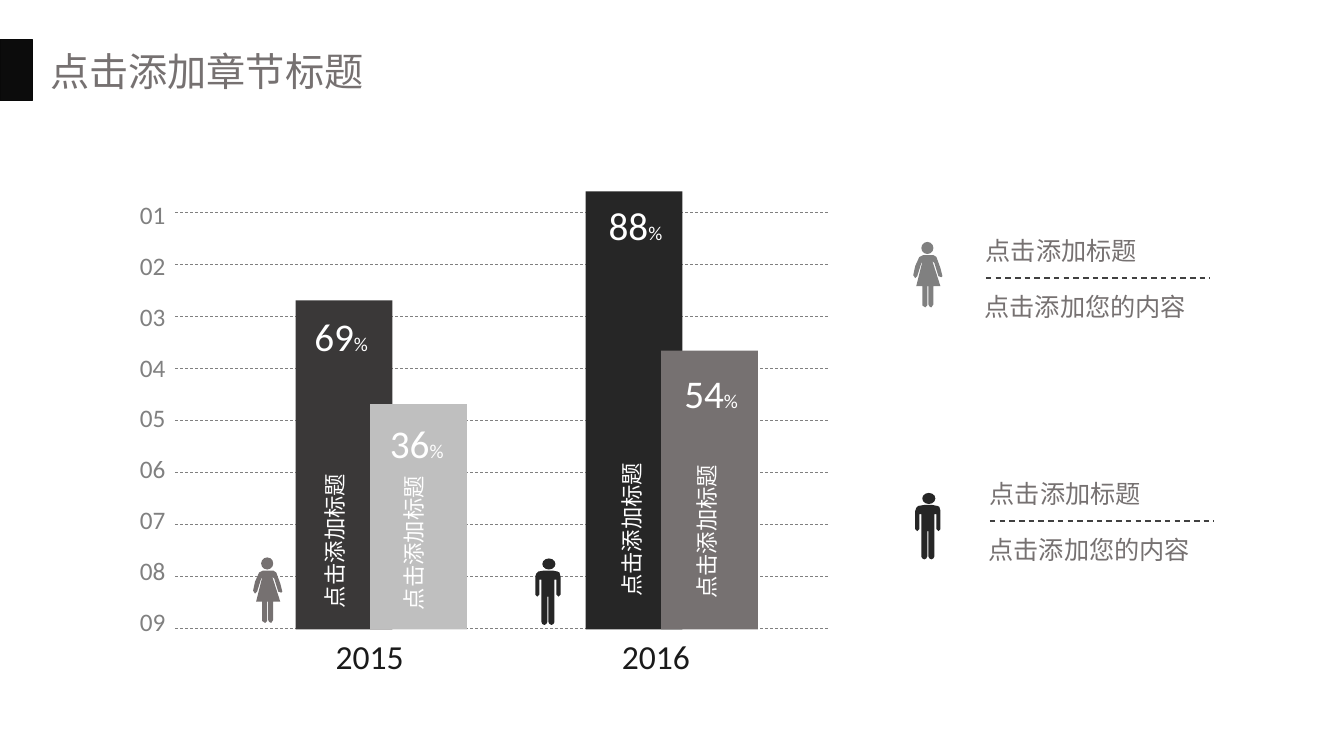
from dataclasses import dataclass

from pptx import Presentation
from pptx.dml.color import RGBColor
from pptx.enum.dml import MSO_LINE
from pptx.enum.shapes import MSO_CONNECTOR as Connector, MSO_SHAPE as Preset
from pptx.enum.text import MSO_AUTO_SIZE as AutoSize, PP_ALIGN as Align
from pptx.oxml.ns import qn
from pptx.shapes.base import BaseShape
from pptx.text.text import _Paragraph as Paragraph
from pptx.util import Inches, Pt
from lxml.etree import SubElement

# Lengths are in columns and rows: one hundredth of the slide's width and height.
WIDTH, HEIGHT = Inches(40 / 3), Inches(7.5)
CJK, LATIN = "Noto Sans CJK SC", "Calibri"
GRAY, TAUPE, INK, WHITE = "808080", "767171", "262626", "FFFFFF"
BASELINE, BAR_WIDTH = 83.27, 7.2
HUNDREDTH = Inches(0.01)


@dataclass
class Bar:
    left: float
    top: float
    fill: str
    percent: str
    percent_at: tuple[float, float]
    caption_at: tuple[float, float]


@dataclass
class Silhouette:
    """Head box and body outline, in hundredths of an inch."""
    head: tuple[int, int, int, int]
    body: list[tuple[int, int]]


@dataclass
class Figure:
    silhouette: Silhouette
    left: float
    top: float
    fill: str


BARS = [
    Bar(22, 39.73, "3A3838", "69", (22.65, 40.67), (18.9, 68.53)),
    Bar(27.55, 53.47, "BFBFBF", "36", (28.28, 54.8), (24.75, 68.8)),
    Bar(43.58, 25.33, INK, "88", (44.55, 26), (40.95, 67.07)),
    Bar(49.2, 46.4, TAUPE, "54", (50.18, 48.13), (46.58, 67.33)),
]
MAN = Silhouette((7, 0, 13, 11), [
    (9, 12), (3, 13), (1, 15), (0, 18), (0, 36), (2, 38), (4, 36), (4, 21), (6, 21),
    (6, 63), (7, 65), (9, 66), (11, 65), (12, 63), (12, 38), (13, 38), (13, 63),
    (14, 65), (16, 66), (18, 65), (19, 63), (19, 21), (21, 21), (21, 36), (23, 38),
    (25, 36), (25, 18), (24, 14), (22, 13), (17, 12)])
WOMAN = Silhouette((8, 0, 12, 12), [
    (6, 15), (10, 13), (20, 13), (23, 15), (27, 26), (29, 34), (28, 35), (25, 34),
    (21, 21), (19, 19), (27, 44), (20, 44), (20, 62), (18, 65), (16, 64), (15, 62),
    (15, 44), (14, 44), (14, 63), (12, 65), (9, 63), (9, 44), (3, 44), (9, 20),
    (8, 21), (4, 34), (2, 36), (0, 33), (2, 24)])
FIGURES = [
    Figure(MAN, 39.83, 73.87, INK),
    Figure(WOMAN, 18.83, 73.73, TAUPE),
    Figure(MAN, 68.1, 65.2, INK),
    Figure(WOMAN, 67.95, 32, GRAY),
]
YEARS = {"2015": 24.23, "2016": 45.53}
LEGEND_OFFSETS = [(0, 0), (0.3, 32.13)]

deck = Presentation()
deck.slide_width, deck.slide_height = WIDTH, HEIGHT
page = deck.slides.add_slide(deck.slide_layouts[6])


def col(share: float) -> int:
    return round(WIDTH * share / 100)


def row(share: float) -> int:
    return round(HEIGHT * share / 100)


def color(value: str) -> RGBColor:
    return RGBColor.from_string(value)


def paint(shape: BaseShape, fill: str) -> None:
    shape.shadow.inherit = False
    shape.fill.solid()
    shape.fill.fore_color.rgb = color(fill)
    shape.line.fill.background()


def add_block(left: float, top: float, width: float, height: float, fill: str) -> BaseShape:
    block = page.shapes.add_shape(Preset.RECTANGLE, col(left), row(top), col(width), row(height))
    paint(block, fill)
    return block


def add_dashes(left: float, right: float, top: float, stroke: str, points: float) -> None:
    line = page.shapes.add_connector(Connector.STRAIGHT, col(left), row(top), col(right), row(top))
    line.line.color.rgb = color(stroke)
    line.line.width = Pt(points)
    line.line.dash_style = MSO_LINE.DASH
    SubElement(line._element.spPr, qn("a:effectLst"))


def add_text(text: str, left: float, top: float, width: float, height: float, size: int,
             font: str, ink: str, wrap: bool = False, turn: int = 0) -> Paragraph:
    box = page.shapes.add_textbox(col(left), row(top), col(width), row(height))
    box.rotation = turn
    box.text_frame.word_wrap = wrap
    box.text_frame.auto_size = AutoSize.SHAPE_TO_FIT_TEXT
    para = box.text_frame.paragraphs[0]
    para.add_run().text = text
    para.font.size = Pt(size)
    para.font.name = font
    para.font.color.rgb = color(ink)
    return para


def add_bar(bar: Bar) -> None:
    add_block(bar.left, bar.top, BAR_WIDTH, BASELINE - bar.top, bar.fill)
    para = add_text(bar.percent, *bar.percent_at, 5.55, 7.6, 28, LATIN, WHITE)
    sign = para.add_run()
    sign.text = "%"
    sign.font.size = Pt(14)
    caption = add_text("点击添加标题", *bar.caption_at, 12.83, 3.6, 16, "Arial", WHITE,
                       wrap=True, turn=270)
    caption.line_spacing = Pt(12)


def add_figure(figure: Figure) -> None:
    left, top = col(figure.left), row(figure.top)
    x, y, width, height = (HUNDREDTH * length for length in figure.silhouette.head)
    head = page.shapes.add_shape(Preset.OVAL, left + x, top + y, width, height)
    start, *others = figure.silhouette.body
    outline = page.shapes.build_freeform(*start, scale=HUNDREDTH)
    outline.add_line_segments(others)
    for part in (head, outline.convert_to_shape(left, top)):
        paint(part, figure.fill)


def add_legend(right: float, down: float) -> None:
    add_text("点击添加标题", 72.6 + right, 30.53 + down, 12.9, 5.33, 18, CJK, TAUPE)
    content = add_text("点击添加您的内容", 71.48 + right, 37.87 + down, 18.53, 5.33, 18, CJK,
                       TAUPE, wrap=True)
    content.alignment = Align.CENTER
    add_dashes(73.35 + right, 90 + right, 36.8 + down, "404040", 1)


def main() -> None:
    marker = add_block(0, 5.2, 2.4, 8.13, "0C0C0C")
    marker.line.color.rgb = color("090909")
    marker.line.width = Pt(1)
    add_text("点击添加章节标题", 3, 5.6, 25.05, 7.6, 28, CJK, TAUPE)
    for level in range(9):
        add_dashes(13.05, 61.6, 28.13 + 6.87 * level, GRAY, 0.5)
        add_text(f"{level + 1:02}", 9.68, 25.73 + 6.72 * level, 3.45, 5.33, 18, LATIN, GRAY)
    for bar in BARS:
        add_bar(bar)
    for figure in FIGURES:
        add_figure(figure)
    for year, left in YEARS.items():
        add_text(year, left, 83.47, 6.6, 6.67, 24, LATIN, "1A1A1A")
    for offset in LEGEND_OFFSETS:
        add_legend(*offset)
    deck.save("out.pptx")


if __name__ == "__main__":
    main()
